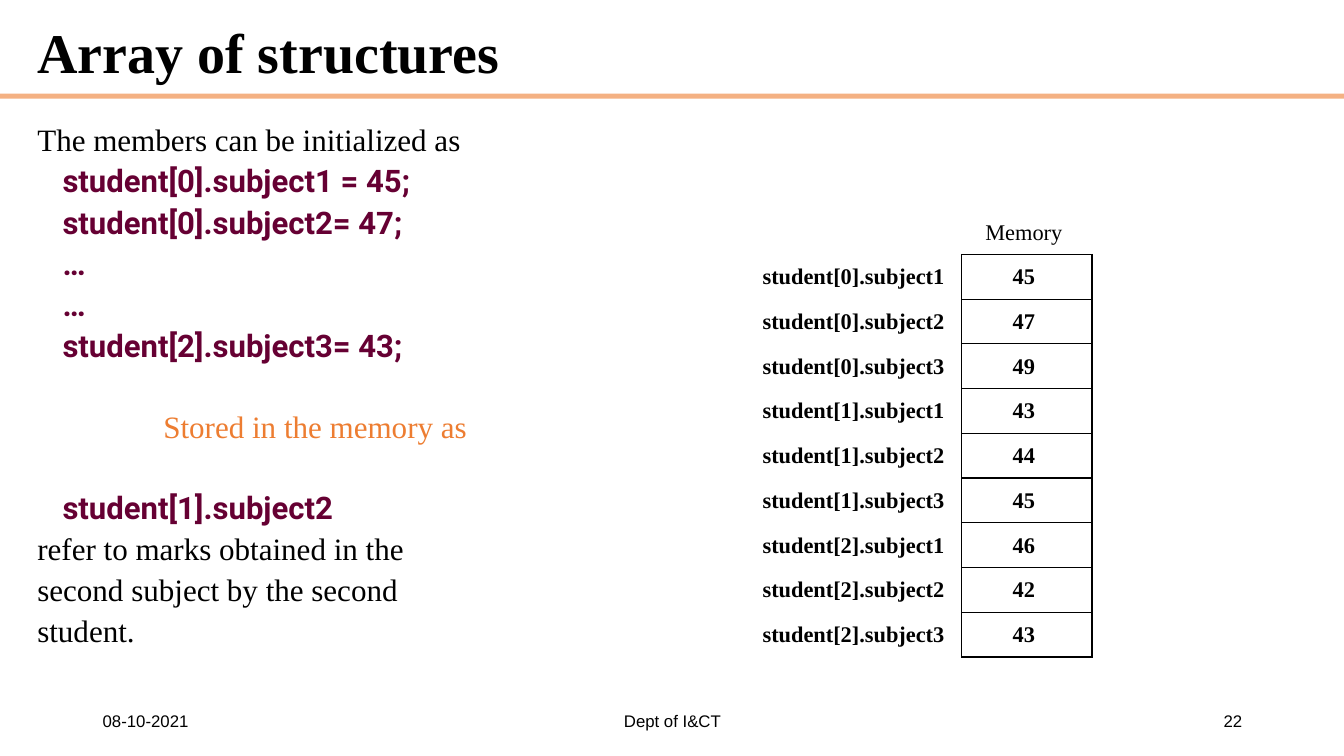
from pptx import Presentation
from pptx.dml.color import RGBColor
from pptx.enum.shapes import MSO_SHAPE
from pptx.enum.text import MSO_ANCHOR, MSO_AUTO_SIZE, PP_ALIGN
from pptx.oxml import parse_xml
from pptx.oxml.ns import nsdecls, qn
from pptx.util import Inches, Pt

BLACK = RGBColor(0x00, 0x00, 0x00)
PLUM = RGBColor(0x66, 0x00, 0x33)
ORANGE = RGBColor(0xED, 0x7D, 0x31)
PEACH = RGBColor(0xF4, 0xB1, 0x83)

SERIF = "Times New Roman"
CODE_FONT = "Roboto"
PLAIN_TABLE_STYLE = "{2D5ABB26-0587-4C30-8999-92F81FD0307C}"


def write_text(paragraph, text, *, size, font=SERIF, color=BLACK, bold=False,
               align=PP_ALIGN.LEFT, spacing=None, before=0, indent=0):
    properties = paragraph._p.get_or_add_pPr()
    properties.set("marL", str(Inches(indent)))
    properties.set("indent", "0")
    properties.append(parse_xml(f"<a:buNone {nsdecls('a')}/>"))
    paragraph.alignment = align
    paragraph.space_before = Pt(before)
    if spacing:
        paragraph.line_spacing = spacing
    run = paragraph.add_run()
    run.text = text
    run.font.size = Pt(size)
    run.font.name = font
    run.font.bold = bold
    run.font.color.rgb = color


class SlideBuilder:
    body_size = 22.2
    body_spacing = 0.7
    body_gap = 10.7
    blank_line = 28.6
    table_size = 16

    def __init__(self, presentation):
        self.slide = presentation.slides.add_slide(presentation.slide_layouts[1])

    def place(self, shape, left, top, width, height):
        shape.left, shape.top = Inches(left), Inches(top)
        shape.width, shape.height = Inches(width), Inches(height)
        frame = shape.text_frame
        frame.word_wrap = True
        frame.auto_size = MSO_AUTO_SIZE.NONE
        return frame

    def title(self, text, *box):
        frame = self.place(self.slide.shapes.title, *box)
        frame.vertical_anchor = MSO_ANCHOR.MIDDLE
        write_text(frame.paragraphs[0], text, size=40, bold=True, spacing=0.9)

    def band(self, color, *box):
        shape = self.slide.shapes.add_shape(MSO_SHAPE.RECTANGLE, *map(Inches, box))
        shape.shadow.inherit = False
        shape.fill.solid()
        shape.fill.fore_color.rgb = color
        shape.line.fill.background()

    def body(self, lines, *box):
        frame = self.place(self.slide.placeholders[1], *box)
        frame.vertical_anchor = MSO_ANCHOR.TOP
        for number, (text, style, blanks_before) in enumerate(lines):
            paragraph = frame.add_paragraph() if number else frame.paragraphs[0]
            gap = self.body_gap + blanks_before * self.blank_line if number else 0
            write_text(paragraph, text, size=self.body_size, align=PP_ALIGN.JUSTIFY,
                       spacing=self.body_spacing, before=gap, **style)

    def footer(self, text, align, *box):
        shape = self.slide.shapes.add_textbox(*map(Inches, box))
        frame = self.place(shape, *box)
        frame.vertical_anchor = MSO_ANCHOR.MIDDLE
        write_text(frame.paragraphs[0], text, size=12, font="Arial", align=align)

    def cell(self, cell, text, bold, right_margin, bordered):
        cell.vertical_anchor = MSO_ANCHOR.MIDDLE
        cell.margin_left, cell.margin_right = Inches(0.07), Inches(right_margin)
        cell.margin_top, cell.margin_bottom = Inches(0.01), 0
        if bordered:
            for side in ("lnL", "lnR", "lnT", "lnB"):
                cell._tc.get_or_add_tcPr().append(parse_xml(
                    f'<a:{side} {nsdecls("a")} w="{Pt(1)}"><a:solidFill>'
                    f'<a:srgbClr val="{BLACK}"/></a:solidFill></a:{side}>'))
        cell.fill.background()
        if text:
            write_text(cell.text_frame.paragraphs[0], text, size=self.table_size,
                       bold=bold, align=PP_ALIGN.CENTER)

    def memory_table(self, rows, left, top, column_widths, row_height):
        frame = self.slide.shapes.add_table(
            len(rows), len(column_widths), Inches(left), Inches(top),
            Inches(sum(column_widths)), Inches(row_height * len(rows)))
        table = frame.table
        table.first_row = table.horz_banding = False
        table._tbl.tblPr.find(qn("a:tableStyleId")).text = PLAIN_TABLE_STYLE
        for column, width in zip(table.columns, column_widths):
            column.width = Inches(width)
        for index, (label, value) in enumerate(rows):
            table.rows[index].height = Inches(row_height)
            is_entry = index > 0
            self.cell(table.cell(index, 0), label, is_entry, 0.07, False)
            self.cell(table.cell(index, 1), value, is_entry, 0.13, is_entry)


def main():
    presentation = Presentation()
    presentation.slide_width, presentation.slide_height = Inches(13.33), Inches(7.5)
    builder = SlideBuilder(presentation)

    # Heading
    builder.band(PEACH, 0, 0.93, 13.33, 0.05)
    builder.title("Array of structures", 0.27, 0.15, 12.15, 0.79)

    # Explanation: text, style, blank lines above
    prose = {}
    code = {"font": CODE_FONT, "color": PLUM, "bold": True, "indent": 0.25}
    callout = {"color": ORANGE, "indent": 1.25}
    builder.body([
        ("The members can be initialized as", prose, 0),
        ("student[0].subject1 = 45;", code, 0),
        ("student[0].subject2= 47;", code, 0),
        ("…", code, 0),
        ("…", code, 0),
        ("student[2].subject3= 43;", code, 0),
        ("Stored in the memory as", callout, 1),
        ("student[1].subject2", code, 1),
        ("refer to marks obtained in the", prose, 0),
        ("second subject by the second", prose, 0),
        ("student.", prose, 0),
    ], 0.27, 1.25, 12.83, 5.6)

    # Memory layout
    marks = [[45, 47, 49], [43, 44, 45], [46, 42, 43]]
    entries = [(f"student[{student}].subject{subject}", str(mark))
               for student, subjects in enumerate(marks)
               for subject, mark in enumerate(subjects, start=1)]
    builder.memory_table([("", "Memory")] + entries, 7.39, 2.08, (2.15, 1.29), 0.444)

    # Footer
    builder.footer("08-10-2021", PP_ALIGN.LEFT, 0.92, 6.95, 3, 0.4)
    builder.footer("Dept of I&CT", PP_ALIGN.CENTER, 4.42, 6.95, 4.5, 0.4)
    builder.footer("22", PP_ALIGN.RIGHT, 9.42, 6.95, 3, 0.4)

    presentation.save("out.pptx")


if __name__ == "__main__":
    main()
